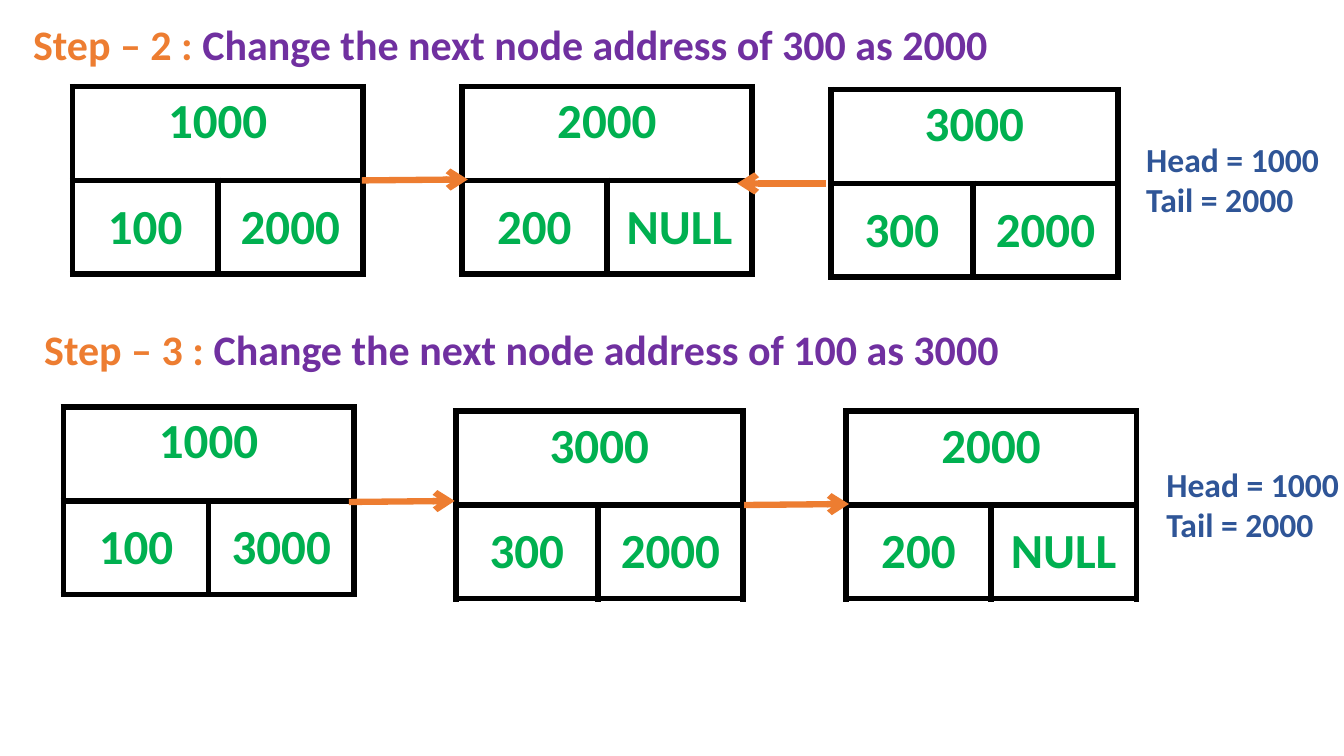
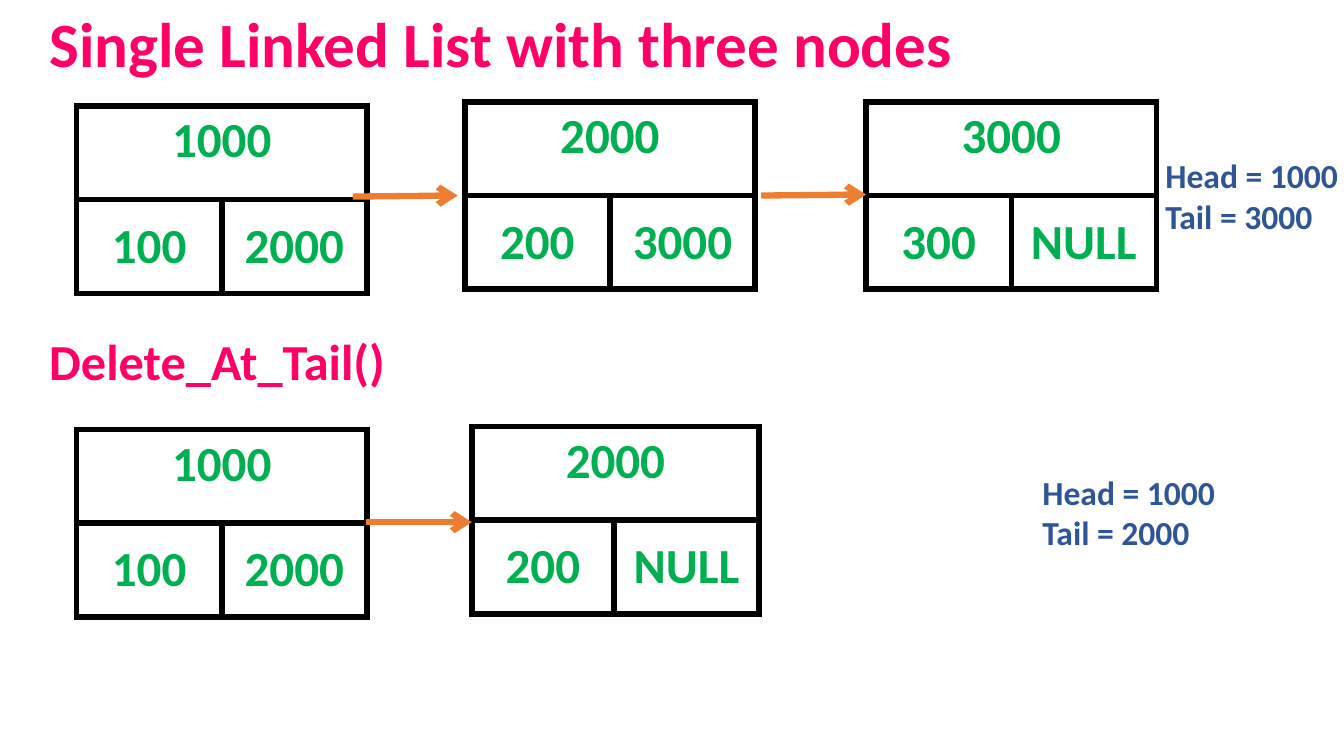
from lxml import etree
from pptx import Presentation
from pptx.dml.color import RGBColor
from pptx.enum import shapes, text
from pptx.oxml import ns
from pptx.util import Emu, Pt

PX = 9144  # 100 px to the inch
FONT = "Calibri"
BLACK, WHITE = "000000", "FFFFFF"
ORANGE, PURPLE, PINK = "ED7D31", "7030A0", "FF0066"
GREEN, BLUE = "00B050", "2F5597"
LINE_W = Pt(4.5)
CELL_W, NARROW_W, CELL_H = 144, 141, 93


def px(n):
    return Emu(n * PX)


def rgb(color):
    return RGBColor.from_string(color)


def add_run(p, words, size, color):
    r = p.add_run()
    r.text = words
    r.font.name, r.font.size, r.font.bold = FONT, Pt(size), True
    r.font.color.rgb = rgb(color)


def add_text(slide, box, size, paragraphs, wrap=True):
    """Each paragraph is a list of (words, color) runs."""
    tf = slide.shapes.add_textbox(*map(px, box)).text_frame
    tf.word_wrap = wrap
    for i, runs in enumerate(paragraphs):
        p = tf.paragraphs[0] if i == 0 else tf.add_paragraph()
        for words, color in runs:
            add_run(p, words, size, color)


def border_cell(cell):
    tcPr = cell._tc.get_or_add_tcPr()
    for side in ("a:lnL", "a:lnR", "a:lnT", "a:lnB"):
        ln = etree.SubElement(tcPr, ns.qn(side), w=str(LINE_W))
        fill = etree.SubElement(ln, ns.qn("a:solidFill"))
        etree.SubElement(fill, ns.qn("a:srgbClr"), val=BLACK)


def add_node(slide, x, y, address, value, following, left_w=CELL_W):
    """A list node: its address above, its value and next address below."""
    widths = (left_w, CELL_W)
    tbl = slide.shapes.add_table(2, 2, px(x), px(y), px(sum(widths)),
                                 px(2 * CELL_H)).table
    tbl.first_row = tbl.horz_banding = False
    for col, w in zip(tbl.columns, widths):
        col.width = px(w)
    for row in tbl.rows:
        row.height = px(CELL_H)
    tbl.cell(0, 0).merge(tbl.cell(0, 1))
    for cell in (c for row in tbl.rows for c in row.cells):
        border_cell(cell)
        cell.fill.solid()
        cell.fill.fore_color.rgb = rgb(WHITE)

    labels = (((0, 0), address), ((1, 0), value), ((1, 1), following))
    for (row, col), words in labels:
        cell = tbl.cell(row, col)
        if row == 1:
            cell.vertical_anchor = text.MSO_ANCHOR.MIDDLE
        p = cell.text_frame.paragraphs[0]
        p.alignment = text.PP_ALIGN.CENTER
        add_run(p, words, 35, GREEN)


def add_arrow(slide, x1, y1, x2, y2):
    sp = slide.shapes.add_connector(shapes.MSO_CONNECTOR.STRAIGHT,
                                    *map(px, (x1, y1, x2, y2)))
    sp.line.width = LINE_W
    sp.line.color.rgb = rgb(ORANGE)
    etree.SubElement(sp.line._get_or_add_ln(), ns.qn("a:tailEnd"), type="arrow")
    etree.SubElement(sp._element.spPr, ns.qn("a:effectLst"))


def add_list(slide, x, y, nodes, arrows, note_at, tail):
    """A linked list; all positions are relative to its corner (x, y)."""
    for dx, dy, *node in nodes:
        add_node(slide, x + dx, y + dy, *node)
    for x1, y1, x2, y2 in arrows:
        add_arrow(slide, x + x1, y + y1, x + x2, y + y2)
    # Head and tail addresses
    dx, dy = note_at
    add_text(slide, (x + dx, y + dy, 230, 91), 24,
             [[("Head = 1000", BLUE)], [(f"Tail = {tail}", BLUE)]], wrap=False)


def add_step(slide, x, y, number, node, following):
    add_text(slide, (x, y, 1239, 61), 30, [[
        (f"Step – {number} : ", ORANGE),
        (f"Change the next node address of {node} as {following}", PURPLE)]])


def add_heading(slide, x, y, w, h, size, words):
    add_text(slide, (x, y, w, h), size, [[(words, PINK)]])


def steps_slide(slide):
    # Step 2
    add_step(slide, 23, 13, 2, 300, 2000)
    add_list(slide, 72, 86,
             [(0, 0, "1000", "100", "2000"),
              (386, 0, "2000", "200", "NULL"),
              (752, 3, "3000", "300", "2000", NARROW_W)],
             [(287, 93, 392, 92), (747, 96, 659, 96)], (1055, 47), 2000)
    # Step 3
    add_step(slide, 34, 316, 3, 100, 3000)
    add_list(slide, 63, 404,
             [(0, 0, "1000", "100", "3000"),
              (389, 4, "3000", "300", "2000", NARROW_W),
              (776, 4, "2000", "200", "NULL")],
             [(283, 94, 388, 93), (675, 97, 779, 96)], (1084, 51), 2000)


def delete_slide(slide):
    # Before deletion
    add_heading(slide, 39, 0, 985, 86, 45, "Single Linked List with three nodes")
    add_list(slide, 76, 105,
             [(0, 0, "1000", "100", "2000"),
              (385, -4, "2000", "200", "3000"),
              (783, -4, "3000", "300", "NULL")],
             [(274, 90, 378, 89), (679, 89, 783, 88)], (1070, 44), 3000)
    # After deletion
    add_heading(slide, 39, 323, 896, 71, 36, "Delete_At_Tail()")
    add_list(slide, 76, 426,
             [(0, 0, "1000", "100", "2000"),
              (392, -3, "2000", "200", "NULL", NARROW_W)],
             [(287, 92, 392, 92)], (948, 37), 2000)


def main():
    prs = Presentation()
    prs.slide_width, prs.slide_height = px(1333), px(750)
    for build in (steps_slide, delete_slide):
        build(prs.slides.add_slide(prs.slide_layouts[6]))
    prs.save("out.pptx")


if __name__ == "__main__":
    main()
